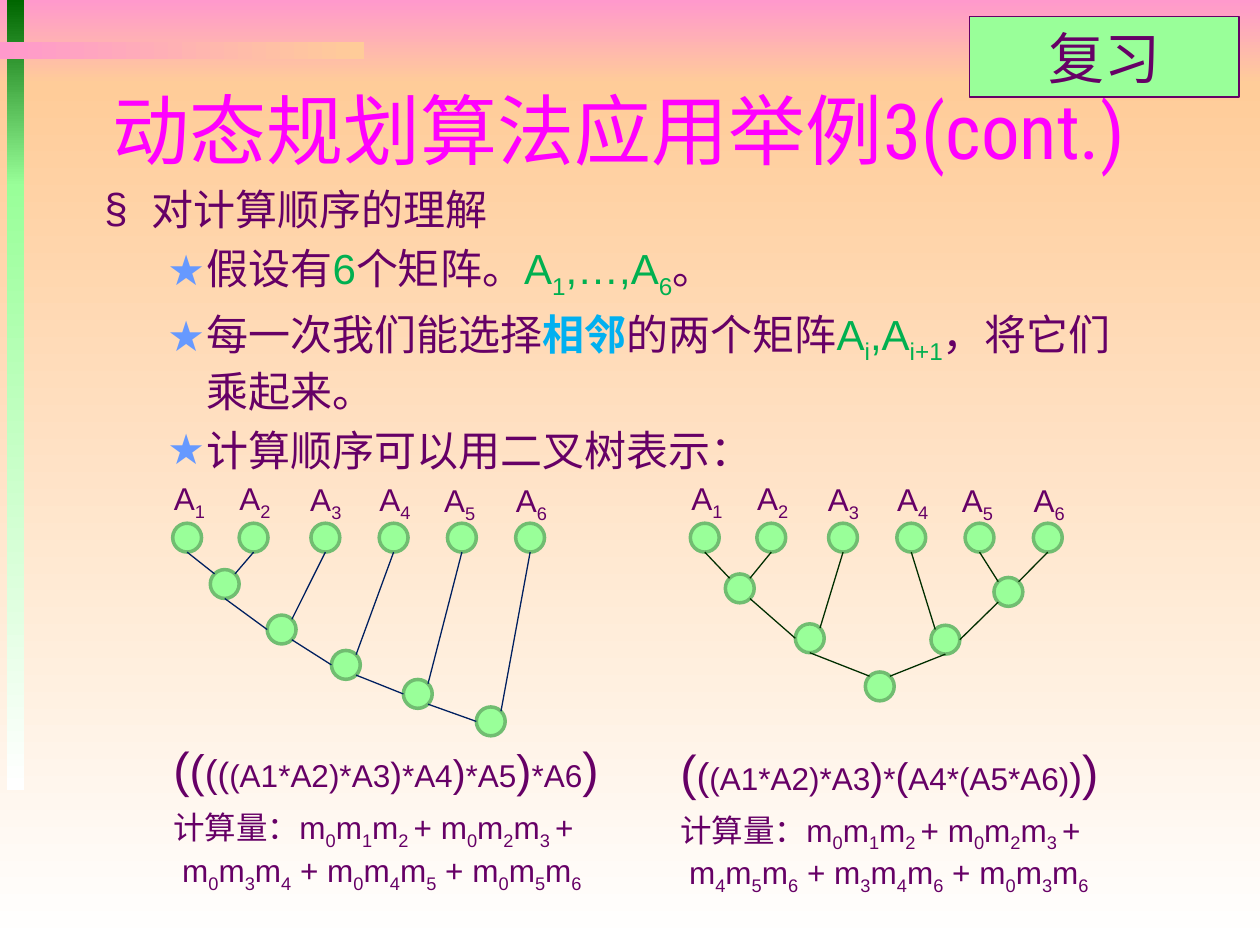
"""Builds a slide on matrix-chain evaluation order with two binary trees."""
import math
from dataclasses import dataclass

import pptx
import pptx.dml.color
import pptx.enum.shapes
import pptx.enum.text
import pptx.util
from lxml import etree
from pptx.oxml.ns import qn

Pt = pptx.util.Pt
SHAPE = pptx.enum.shapes.MSO_SHAPE
ANCHOR = pptx.enum.text.MSO_ANCHOR
ALIGN = pptx.enum.text.PP_ALIGN


@dataclass(frozen=True)
class Theme:
    """Colours, fonts and type sizes."""
    pink: str = "FF99CC"
    peach: str = "FFCC99"
    white: str = "FFFFFF"
    dark_green: str = "006600"
    light_green: str = "99FF99"
    ring: str = "71BD71"
    title: str = "FF00FF"
    ink: str = "660066"
    symbol: str = "00B050"
    accent: str = "00B0F0"
    star: str = "6699FF"
    left_edge: str = "002060"
    right_edge: str = "002E00"
    sans: str = "Arial"
    title_font: str = "Roboto Condensed"
    tag_font: str = "Times New Roman"
    title_size: int = 44
    tag_size: int = 32
    body_size: int = 24
    small_size: int = 18


T = Theme()
DIAMETER = 16.5
LEAF_X = (0, 38, 79, 118, 157, 196)
LABEL_X = (-6.5, 31, 71.5, 111, 148, 189)
D = math.sqrt(0.5)
SITES = {"T": (0, -1), "TL": (-D, -D), "L": (-1, 0), "BL": (-D, D),
         "B": (0, 1), "BR": (D, D), "R": (1, 0), "TR": (D, -D)}

LEFT_TREE = dict(
    inner=[(21.5, 26.5), (54, 52.5), (90.7, 72.7), (131.8, 89.3), (173.5, 105)],
    edges=[(0, "B", 6, "TL"), (1, "B", 6, "TR"), (2, "B", 7, "TR"), (6, "B", 7, "L"),
           (7, "BR", 8, "L"), (8, "BR", 9, "L"), (9, "BR", 10, "L"),
           (3, "B", 8, "TR"), (4, "B", 9, "TR"), (5, "B", 10, "TR")],
    colour=T.left_edge,
    formula=[("(", 28), ("(", 26), ("(", 22), ("(", 20), ("(A1*A2)*A3", 18), (")", 20),
             ("*A4", 18), (")", 22), ("*A5", 18), (")", 26), ("*A6", 18), (")", 28)],
    rest="m|0|m|3|m|4| + m|0|m|4|m|5| + m|0|m|5|m|6")
RIGHT_TREE = dict(
    inner=[(20, 29), (60, 57.5), (173.5, 31), (137.5, 58.3), (100, 85)],
    edges=[(0, "B", 6, "TL"), (1, "B", 6, "TR"), (2, "B", 7, "TR"), (6, "BR", 7, "L"),
           (5, "B", 8, "TR"), (4, "B", 8, "TL"), (3, "B", 9, "TL"),
           (9, "R", 8, "BL"), (7, "B", 10, "TL"), (10, "TR", 9, "B")],
    colour=T.right_edge,
    formula=[("(", 28), ("(", 22), ("(A1*A2)*A3", 18), (")", 22), ("*", 18), ("(", 22),
             ("A4*(A5*A6)", 18), (")", 22), (")", 28)],
    rest="m|4|m|5|m|6| + m|3|m|4|m|6| + m|0|m|3|m|6")


def rgb(value):
    """Return a colour from its hex code."""
    return pptx.dml.color.RGBColor.from_string(value)


def add_runs(p, text, size, color=T.ink, font=T.sans, bold=False):
    """Add runs to a paragraph; every second piece between bars is a subscript."""
    for i, piece in enumerate(text.split("|")):
        if not piece:
            continue
        r = p.add_run()
        r.text = piece
        r.font.size, r.font.name, r.font.bold = Pt(size), font, bold
        r.font.color.rgb = rgb(color)
        if i % 2:
            r.font._element.set("baseline", "-25000")


def add_text(shapes, x, y, w, h):
    """Add a wrapping text box and return its text frame."""
    tf = shapes.add_textbox(Pt(x), Pt(y), Pt(w), Pt(h)).text_frame
    tf.word_wrap = True
    return tf


def add_solid(shapes, kind, x, y, w, h, line, width):
    """Add a light green shape with an outline."""
    sp = shapes.add_shape(kind, Pt(x), Pt(y), Pt(w), Pt(h))
    sp.shadow.inherit = False
    sp.fill.solid()
    sp.fill.fore_color.rgb = rgb(T.light_green)
    sp.line.color.rgb = rgb(line)
    sp.line.width = Pt(width)
    return sp


def add_gradient(s, x, y, w, h, start, end, angle=270):
    """Add a borderless rectangle with a two-colour gradient."""
    sp = s.shapes.add_shape(SHAPE.RECTANGLE, Pt(x), Pt(y), Pt(w), Pt(h))
    sp.shadow.inherit = False
    sp.line.fill.background()
    sp.fill.gradient()
    sp.fill.gradient_angle = angle
    for stop, color, position in zip(sp.fill.gradient_stops, (start, end), (0, 1)):
        stop.color.rgb = rgb(color)
        stop.position = position


def set_bullet(p, char, color, left, hang):
    """Give a paragraph a bullet with a hanging indent."""
    pPr = p._p.get_or_add_pPr()
    pPr.set("marL", str(Pt(left)))
    pPr.set("indent", str(-Pt(hang)))
    clr = etree.SubElement(pPr, qn("a:buClr"))
    etree.SubElement(clr, qn("a:srgbClr"), val=color)
    etree.SubElement(pPr, qn("a:buFont"), typeface=T.sans)
    etree.SubElement(pPr, qn("a:buChar"), char=char)


def add_edge(shapes, start, end, color):
    """Add a thin straight line between two points."""
    c = shapes.add_connector(pptx.enum.shapes.MSO_CONNECTOR.STRAIGHT,
                             *(Pt(v) for v in (*start, *end)))
    c.line.color.rgb = rgb(color)
    c.line.width = Pt(0.75)
    etree.SubElement(c._element.spPr, qn("a:effectLst"))


def add_tree(s, x, y, text_x, text_y, tree):
    """Add a group with a tree, its leaf labels and its cost formula."""
    shapes = s.shapes.add_group_shape().shapes
    nodes = [(x + dx, y + dy) for dx, dy in [(v, 0) for v in LEAF_X] + tree["inner"]]
    for nx, ny in nodes:
        add_solid(shapes, SHAPE.OVAL, nx, ny, DIAMETER, DIAMETER, T.ring, 2)
    for i, dx in enumerate(LABEL_X):
        tf = add_text(shapes, x + dx, y - 28.8 + 0.25 * i, 37.5, 29)
        add_runs(tf.paragraphs[0], f"A|{i + 1}", T.small_size)

    def site(node, name):
        """Return the point at a named site of a node."""
        return [v + DIAMETER / 2 * (1 + d) for v, d in zip(nodes[node], SITES[name])]

    for a, a_site, b, b_site in tree["edges"]:
        add_edge(shapes, site(a, a_site), site(b, b_site), tree["colour"])
    tf = add_text(shapes, text_x, text_y, 277, 91)
    for piece, size in tree["formula"]:
        add_runs(tf.paragraphs[0], piece, size)
    p = tf.add_paragraph()
    p.space_before = Pt(6)
    add_runs(p, "计算量：m|0|m|1|m|2 |+ m|0|m|2|m|3 |+", T.small_size)
    p = tf.add_paragraph()
    p._p.get_or_add_pPr().set("marL", str(Pt(5)))
    add_runs(p, tree["rest"], T.small_size)


def add_body(s):
    """Add the bulleted explanation."""
    tf = add_text(s.shapes, 52.5, 101.5, 600, 117)
    p = tf.paragraphs[0]
    set_bullet(p, "§", T.ink, 27, 27)
    add_runs(p, "对计算顺序的理解", T.body_size)
    items = [
        [("假设有",), ("6", T.symbol), ("个矩阵。",), ("A|1|,…,A|6", T.symbol), ("。",)],
        [("每一次我们能选择",), ("相邻", T.accent, T.sans, True), ("的两个矩阵",),
         ("A|i|,A|i+1", T.symbol), ("，将它们乘起来。",)],
        [("计算顺序可以用二叉树表示：",)]]
    for item in items:
        p = tf.add_paragraph()
        p.level = 1
        set_bullet(p, "★", T.star, 58.5, 22.5)
        p.space_before = Pt(4.8)
        for text, *style in item:
            add_runs(p, text, T.body_size, *style)


def main():
    """Build and save the slide."""
    prs = pptx.Presentation()
    prs.slide_width, prs.slide_height = Pt(720), Pt(540)
    s = prs.slides.add_slide(prs.slide_layouts[6])
    add_gradient(s, 0, 0, 720, 48, T.pink, T.peach)
    add_gradient(s, 0, 48, 720, 492, T.peach, T.white)
    add_gradient(s, 4, 0, 10, 106.5, T.dark_green, T.light_green)
    add_gradient(s, 4, 105, 10, 346.5, T.light_green, T.white)
    add_gradient(s, 0, 24, 208, 10, T.pink, T.peach, 0)
    tf = add_text(s.shapes, 57.5, 41, 612, 65)
    tf.vertical_anchor = ANCHOR.MIDDLE
    add_runs(tf.paragraphs[0], "动态规划算法应用举例3(cont.)", T.title_size, T.title, T.title_font)
    add_body(s)
    add_tree(s, 98.7, 299, 92, 418.5, LEFT_TREE)
    add_tree(s, 394.5, 299, 381.7, 420, RIGHT_TREE)
    tag = add_solid(s.shapes, SHAPE.RECTANGLE, 554, 9.5, 154, 46, T.ink, 0.75)
    p = tag.text_frame.paragraphs[0]
    p.alignment = ALIGN.CENTER
    add_runs(p, "复习", T.tag_size, T.ink, T.tag_font)
    prs.save("out.pptx")


if __name__ == "__main__":
    main()
